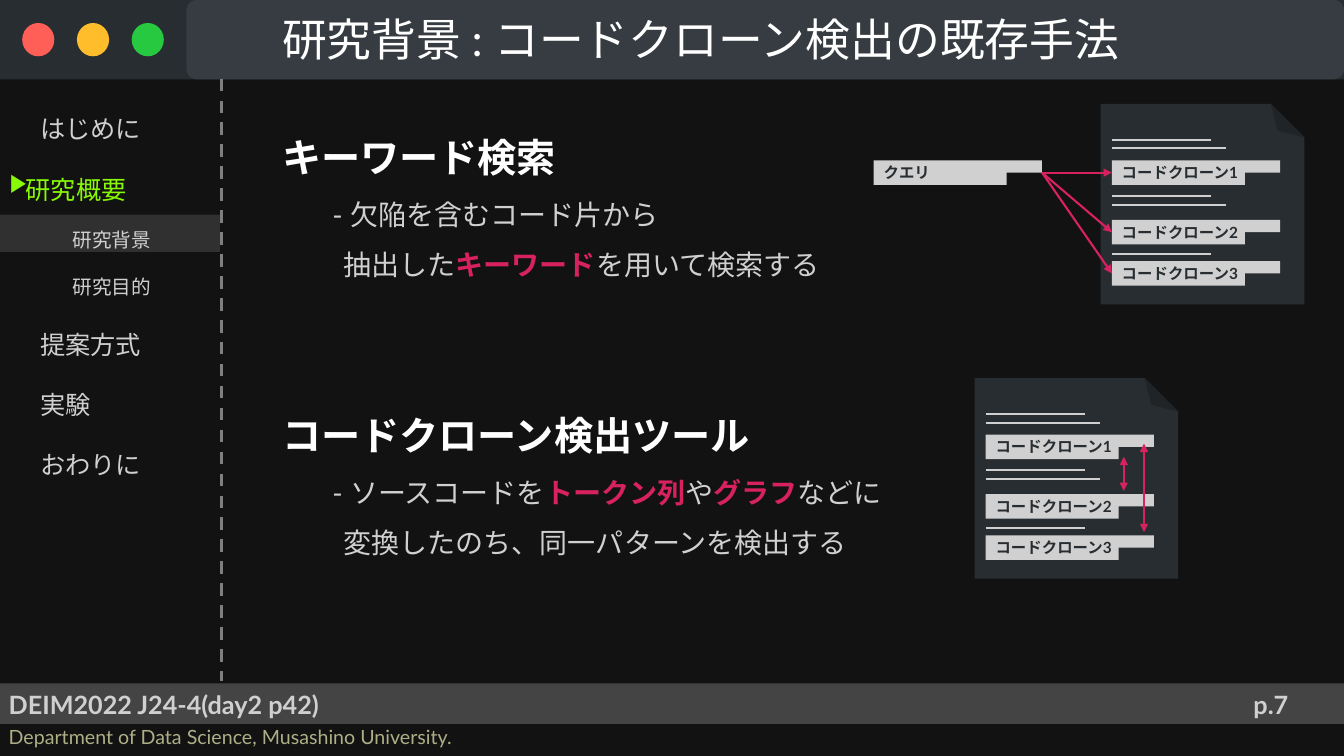
from lxml.etree import SubElement
from pptx import Presentation
from pptx.dml.color import RGBColor
from pptx.enum.dml import MSO_LINE_DASH_STYLE as Dash
from pptx.enum.lang import MSO_LANGUAGE_ID as Lang
from pptx.enum.shapes import MSO_CONNECTOR as Link, MSO_SHAPE as Kind
from pptx.enum.text import MSO_ANCHOR as Anchor, PP_ALIGN as Align
from pptx.oxml.ns import qn
from pptx.util import Cm, Pt

BLACK = RGBColor(0x12, 0x12, 0x12)
SLATE = RGBColor(0x28, 0x2D, 0x31)
STEEL = RGBColor(0x36, 0x3C, 0x41)
DARK = RGBColor(0x30, 0x30, 0x30)
GRAY = RGBColor(0x44, 0x44, 0x44)
DASHED = RGBColor(0x80, 0x7F, 0x80)
LIGHT = RGBColor(0xD0, 0xD0, 0xD0)
WHITE = RGBColor(0xFF, 0xFF, 0xFF)
KHAKI = RGBColor(0xAF, 0xAF, 0x87)
RED = RGBColor(0xFF, 0x5F, 0x57)
AMBER = RGBColor(0xFF, 0xBD, 0x2B)
GREEN = RGBColor(0x26, 0xC9, 0x3F)
LIME = RGBColor(0x88, 0xF9, 0x06)
PINK = RGBColor(0xD7, 0x22, 0x5F)

# Code page, in cm from its top left corner
INSET = 0.28
CLONES = (1.42, 2.92, 3.96)
CODE = ((0.91, 2.51), (1.12, 2.87), (2.31, 2.51), (2.54, 2.87), (3.78, 2.51))
BAR_W, BAR_H, STEP = 4.24, 0.62, 3.35


class Deck:
    font = "Lato"

    def __init__(self):
        self.show = Presentation()
        self.show.slide_width, self.show.slide_height = Cm(33.87), Cm(19.05)
        self.slide = self.show.slides.add_slide(self.show.slide_layouts[6])
        fill = self.slide.background.fill
        fill.solid()
        fill.fore_color.rgb = BLACK
        self.to = self.slide.shapes

    def group(self):
        self.to = self.slide.shapes.add_group_shape().shapes

    def paint(self, shape, color):
        shape.shadow.inherit = False
        shape.fill.solid()
        shape.fill.fore_color.rgb = color
        shape.line.fill.background()
        return shape

    def shape(self, kind, x, y, w, h, color):
        return self.paint(self.to.add_shape(kind, Cm(x), Cm(y), Cm(w), Cm(h)), color)

    def line(self, x, y, to_x, to_y, color, width=1.5, ends=()):
        line = self.to.add_connector(Link.STRAIGHT, Cm(x), Cm(y), Cm(to_x), Cm(to_y))
        line.line.color.rgb = color
        line.line.width = Pt(width)
        for end in ends:
            SubElement(line.line._get_or_add_ln(), qn("a:" + end), type="triangle")
        SubElement(line._element.spPr, qn("a:effectLst"))
        return line

    def run(self, par, text, size, color, bold=False):
        run = par.add_run()
        run.text = text
        font = run.font
        font.name, font.size, font.bold = self.font, Pt(size), bold
        font.color.rgb = color
        font.language_id = Lang.JAPANESE

    def text(self, x, y, w, h, pars, space=None, anchor=Anchor.TOP, align=Align.LEFT):
        """Each paragraph is (indent, size, runs); each run is (text, color, bold)."""
        frame = self.to.add_textbox(Cm(x), Cm(y), Cm(w), Cm(h)).text_frame
        frame.word_wrap = True
        frame.vertical_anchor = anchor
        for i, (indent, size, runs) in enumerate(pars):
            par = frame.add_paragraph() if i else frame.paragraphs[0]
            par.alignment = align
            par.line_spacing = space
            par._p.get_or_add_pPr().set("marL", str(Cm(indent)))
            for text, color, bold in runs:
                self.run(par, text, size, color, bold)

    def bar(self, x, y, text):
        """Two-line code block whose second line is shorter."""
        right, mid, end = x + BAR_W, y + BAR_H / 2, y + BAR_H
        points = [(right, y), (right, mid), (x + STEP, mid), (x + STEP, end), (x, end)]
        edge = self.to.build_freeform(Cm(x), Cm(y))
        edge.add_line_segments([(Cm(a), Cm(b)) for a, b in points], close=True)
        block = self.paint(edge.convert_to_shape(), LIGHT)
        block.text_frame.vertical_anchor = Anchor.MIDDLE
        par = block.text_frame.paragraphs[0]
        par.alignment = Align.LEFT
        self.run(par, text, 11, SLATE, True)

    def page(self, x, y):
        """Source file with three clones."""
        self.group()
        sheet = self.shape(Kind.FOLDED_CORNER, x, y, 5.13, 5.05, SLATE)
        sheet._element.spPr.get_or_add_xfrm().set("flipV", "1")
        left = x + INSET
        for i, top in enumerate(CLONES, 1):
            self.bar(left, y + top, f"コードクローン{i}")
        for top, width in CODE:
            self.line(left, y + top, left + width, y + top, LIGHT)


def main():
    deck = Deck()

    # Window frame
    deck.shape(Kind.RECTANGLE, 0, 17.22, 33.87, 1.02, GRAY)
    deck.shape(Kind.RECTANGLE, 0, 0, 33.87, 2, SLATE)
    for i, color in enumerate((RED, AMBER, GREEN)):
        deck.shape(Kind.OVAL, 0.56 + 1.38 * i, 0.58, 0.81, 0.84, color)
    tab = deck.shape(Kind.ROUNDED_RECTANGLE, 4.7, 0, 29.17, 2, STEEL)
    tab.adjustments[0] = 0.13
    rule = deck.line(5.59, 1.98, 5.59, 17.15, DASHED, 2.25)
    rule.line.dash_style = Dash.DASH

    # Title and footer
    deck.text(5.59, 0.15, 28.3, 1.63,
              [(1.27, 32, [("研究背景 : コードクローン検出の既存手法", WHITE, False)])],
              anchor=Anchor.MIDDLE)
    deck.text(-0.03, 17.25, 16.97, 1.02,
              [(0, 18, [("DEIM2022 J24-4(day2 p42)", LIGHT, True)])])
    deck.text(-0.03, 18.14, 16.97, 0.86,
              [(0, 14, [("Department of Data Science, Musashino University.", KHAKI, False)])])
    deck.text(30.18, 17.25, 3.7, 1.02, [(0, 18, [("p.7", LIGHT, True)])],
              anchor=Anchor.MIDDLE, align=Align.CENTER)

    # Side menu
    deck.shape(Kind.RECTANGLE, 0, 5.41, 5.54, 0.94, DARK)
    menu = [
        (0.76, 18, "はじめに", LIGHT),
        (0.4, 18, "研究概要", LIME),
        (1.58, 14, "研究背景", LIGHT),
        (1.58, 14, "研究目的", LIGHT),
        (0.76, 18, "提案方式", LIGHT),
        (0.76, 18, "実験", LIGHT),
        (0.76, 18, "おわりに", LIGHT),
    ]
    deck.text(0, 1.98, 5.59, 15.16,
              [(indent, size, [(text, color, False)]) for indent, size, text, color in menu],
              space=2.0)
    deck.text(0, 4.06, 1.17, 1.02, [(0, 18, [("▶", LIME, False)])])

    # Methods
    search = [
        (1.27, 28, [("キーワード検索", WHITE, True)]),
        (2.54, 20, [("- 欠陥を含むコード片から", LIGHT, False)]),
        (2.82, 20, [("抽出した", LIGHT, False), ("キーワード", PINK, True),
                    ("を用いて検索する", LIGHT, False)]),
    ]
    tool = [
        (1.27, 28, [("コードクローン検出ツール", WHITE, True)]),
        (2.54, 20, [("- ソースコードを", LIGHT, False), ("トークン列", PINK, True),
                    ("や", LIGHT, False), ("グラフ", PINK, True),
                    ("などに", LIGHT, False)]),
        (2.82, 20, [("変換したのち、同一パターンを検出する", LIGHT, False)]),
    ]
    for top, pars in ((2.64, search), (9.65, tool)):
        deck.text(5.59, top, 28.3, 4.42, pars, space=1.5)

    # Query pointing at each clone
    x, y = 27.74, 2.62
    deck.page(x, y)
    ask = 22.02
    deck.bar(ask, y + CLONES[0], "クエリ")
    mid = y + BAR_H / 2
    for top in CLONES:
        deck.line(ask + BAR_W, mid + CLONES[0], x + INSET, mid + top, PINK,
                  ends=["tailEnd"])

    # Clones compared with each other
    x, y = 24.56, 9.53
    deck.page(x, y)
    for side, top, end in ((3.76, 1.98, 2.84), (4.27, 1.65, 3.88)):
        deck.line(x + side, y + top, x + side, y + end, PINK,
                  ends=["headEnd", "tailEnd"])

    deck.show.save("out.pptx")


if __name__ == "__main__":
    main()
